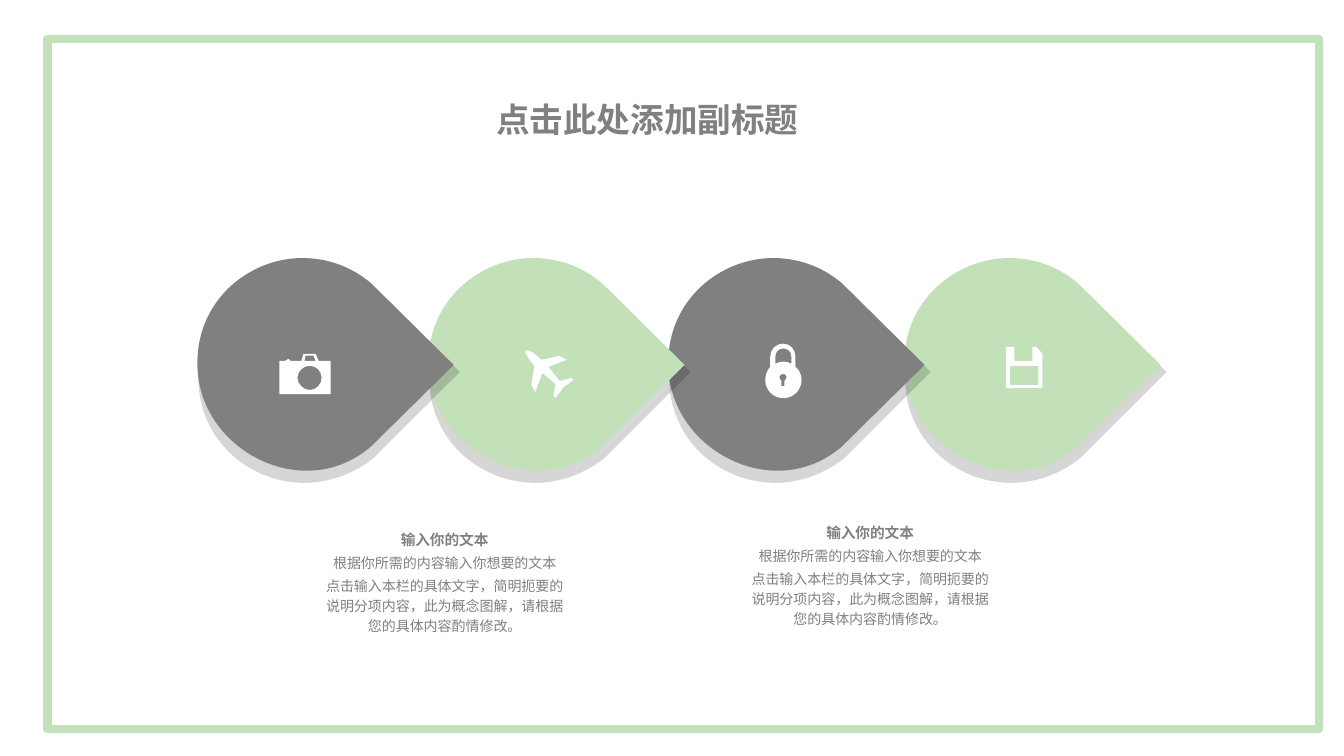
import dataclasses

import lxml.etree
import pptx
import pptx.dml.color
import pptx.enum.shapes
import pptx.enum.text
import pptx.oxml.ns
import pptx.util

Inches = pptx.util.Inches
Pt = pptx.util.Pt
qn = pptx.oxml.ns.qn
rgb = pptx.dml.color.RGBColor.from_string


@dataclasses.dataclass(frozen=True)
class Theme:
    font: str = "Noto Sans CJK SC"
    green: str = "C2E1B8"
    gray: str = "808080"
    white: str = "FFFFFF"
    black: str = "000000"
    title_size: float = 24
    heading_size: float = 10.5
    body_size: float = 10


theme = Theme()


def draw_outline(contours, color, dx=0.0):
    """Draw closed contours; two numbers are a line, six a Bézier curve."""
    builder = None
    segments = []
    for contour in contours:
        corners = [(Inches(part[-2] + dx), Inches(part[-1])) for part in contour]
        if builder is None:
            builder = slide.shapes.build_freeform(*corners[0])
        else:
            builder.move_to(*corners[0])
        builder.add_line_segments(corners[1:], close=True)
        segments += contour[1:]
    outline = builder.convert_to_shape()
    outline.shadow.inherit = False
    outline.fill.solid()
    outline.fill.fore_color.rgb = rgb(color)
    outline.line.fill.background()
    # Turn the segments that have control points into curves
    for node, segment in zip(list(outline.element.iter(qn("a:lnTo"))), segments):
        if len(segment) == 6:
            node.tag = qn("a:cubicBezTo")
            for index in (0, 1):
                x, y = segment[2 * index:2 * index + 2]
                control = lxml.etree.Element(qn("a:pt"))
                control.set("x", str(Inches(x + dx) - outline.left))
                control.set("y", str(Inches(y) - outline.top))
                node.insert(index, control)
    return outline


def style_paragraph(paragraph, size, bold, line_spacing, align):
    paragraph.alignment = align
    paragraph.line_spacing = line_spacing
    for run in paragraph.runs:
        run.font.size = Pt(size)
        run.font.bold = bold
        run.font.color.rgb = rgb(theme.gray)
        run.font.name = theme.font
        east_asian = lxml.etree.SubElement(run._r.get_or_add_rPr(), qn("a:ea"))
        east_asian.set("typeface", theme.font)


presentation = pptx.Presentation()
presentation.slide_width = Inches(13.33)
presentation.slide_height = Inches(7.5)
slide = presentation.slides.add_slide(presentation.slide_layouts[5])

# Title
title = slide.shapes.title
title.left, title.top = Inches(4.82), Inches(0.89)
title.width, title.height = Inches(3.23), Inches(0.51)
title.text_frame.text = "点击此处添加副标题"
title.text_frame.word_wrap = False
title.text_frame.auto_size = pptx.enum.text.MSO_AUTO_SIZE.NONE
title.text_frame.vertical_anchor = pptx.enum.text.MSO_ANCHOR.TOP
style_paragraph(title.text_frame.paragraphs[0], theme.title_size, True, 1.1,
                pptx.enum.text.PP_ALIGN.LEFT)

# Frame behind everything
frame = slide.shapes.add_shape(pptx.enum.shapes.MSO_SHAPE.RECTANGLE, Inches(0.47),
                               Inches(0.39), Inches(12.61), Inches(6.84))
frame.shadow.inherit = False
frame.fill.solid()
frame.fill.fore_color.rgb = rgb(theme.white)
frame.line.color.rgb = rgb(theme.green)
frame.line.width = Pt(6)
title.element.addprevious(frame.element)

# Drops with shadows, from right to left so each tip overlaps the next drop
drop = [[(1.72, 2.81), (1.52, 2.64, 1.28, 2.56, 1.04, 2.56),
         (0.53, 2.56, 0.03, 2.95, 0, 3.54), (-0.04, 4.2, 0.53, 4.67, 1.08, 4.67),
         (1.3, 4.67, 1.52, 4.6, 1.72, 4.43), (2.54, 3.62)]]
drop_shadow = [[(1.79, 2.88), (1.59, 2.71, 1.34, 2.64, 1.1, 2.64),
                (0.57, 2.64, 0.06, 3.05, 0.01, 3.66),
                (-0.04, 4.33, 0.49, 4.79, 1.06, 4.79),
                (1.29, 4.79, 1.54, 4.71, 1.75, 4.54), (2.6, 3.69)]]
for drop_left, drop_color in ((8.97, theme.green), (6.63, theme.gray),
                              (4.25, theme.green), (1.96, theme.gray)):
    cast = draw_outline(drop_shadow, theme.black, drop_left)
    shade = cast.element.spPr.find(qn("a:solidFill")).find(qn("a:srgbClr"))
    lxml.etree.SubElement(shade, qn("a:alpha")).set("val", "16000")
    draw_outline(drop, drop_color, drop_left)

# Icons
plane = [
    [(5.59, 3.84), (5.51, 3.95), (5.49, 3.93), (5.51, 3.81), (5.38, 3.7),
     (5.31, 3.89), (5.27, 3.82), (5.3, 3.63), (5.24, 3.56, 5.2, 3.49, 5.21, 3.48),
     (5.23, 3.46, 5.3, 3.5, 5.37, 3.57), (5.55, 3.53), (5.62, 3.57), (5.44, 3.64),
     (5.55, 3.78), (5.67, 3.75), (5.69, 3.77)],
]
padlock = [
    [(7.85, 3.61), (7.8, 3.58, 7.74, 3.58, 7.69, 3.61), (7.69, 3.54),
     (7.69, 3.43, 7.85, 3.43, 7.85, 3.54)],
    [(7.78, 3.78), (7.78, 3.83), (7.75, 3.83), (7.75, 3.78),
     (7.71, 3.74, 7.74, 3.71, 7.77, 3.71), (7.8, 3.71, 7.82, 3.75, 7.78, 3.78)],
    [(7.89, 3.64), (7.89, 3.54), (7.89, 3.47, 7.84, 3.41, 7.77, 3.41),
     (7.69, 3.41, 7.64, 3.47, 7.64, 3.54), (7.64, 3.64),
     (7.61, 3.67, 7.59, 3.72, 7.59, 3.77), (7.59, 3.87, 7.67, 3.95, 7.77, 3.95),
     (7.87, 3.95, 7.95, 3.87, 7.95, 3.77), (7.95, 3.72, 7.93, 3.67, 7.89, 3.64)],
]
diskette = [
    [(10.3, 3.82), (10.02, 3.82), (10.02, 3.63), (10.3, 3.63)],
    [(10.34, 3.51), (10.28, 3.44), (10.24, 3.44), (10.24, 3.58), (10.06, 3.58),
     (10.06, 3.44), (9.98, 3.44), (9.98, 3.85), (10.34, 3.85)],
]
camera = [
    [(3.07, 3.87), (3.01, 3.87, 2.95, 3.81, 2.95, 3.75),
     (2.95, 3.68, 3.01, 3.63, 3.07, 3.63), (3.14, 3.63, 3.19, 3.68, 3.19, 3.75),
     (3.19, 3.81, 3.14, 3.87, 3.07, 3.87)],
    [(3.03, 3.53), (3.11, 3.53), (3.13, 3.58), (3.02, 3.58)],
    [(3.28, 3.58), (3.16, 3.58), (3.13, 3.51), (3.01, 3.51), (2.99, 3.58),
     (2.88, 3.58), (2.86, 3.56), (2.83, 3.58), (2.77, 3.58), (2.77, 3.91),
     (3.28, 3.91)],
]
for icon in (plane, padlock, diskette, camera):
    draw_outline(icon, theme.white)

# Descriptions
description_lines = (
    ("输入你的文本", theme.heading_size, True),
    ("根据你所需的内容输入你想要的文本", theme.body_size, False),
    ("点击输入本栏的具体文字，简明扼要的说明分项内容，此为概念图解，请根据您的具体内容酌情修改。",
     theme.body_size, False),
)
for left, top in ((3.05, 5.17), (7.27, 5.1)):
    description = slide.shapes.add_textbox(Inches(left), Inches(top), Inches(2.72),
                                           Inches(1.21)).text_frame
    description.word_wrap = True
    description.margin_left = description.margin_right = Inches(0.12)
    description.margin_top = description.margin_bottom = Inches(0.06)
    description.text = "\n".join(line for line, _, _ in description_lines)
    for paragraph, (_, size, bold) in zip(description.paragraphs, description_lines):
        paragraph.space_before = Pt(2)
        style_paragraph(paragraph, size, bold, 1.2, pptx.enum.text.PP_ALIGN.CENTER)

presentation.save("out.pptx")
